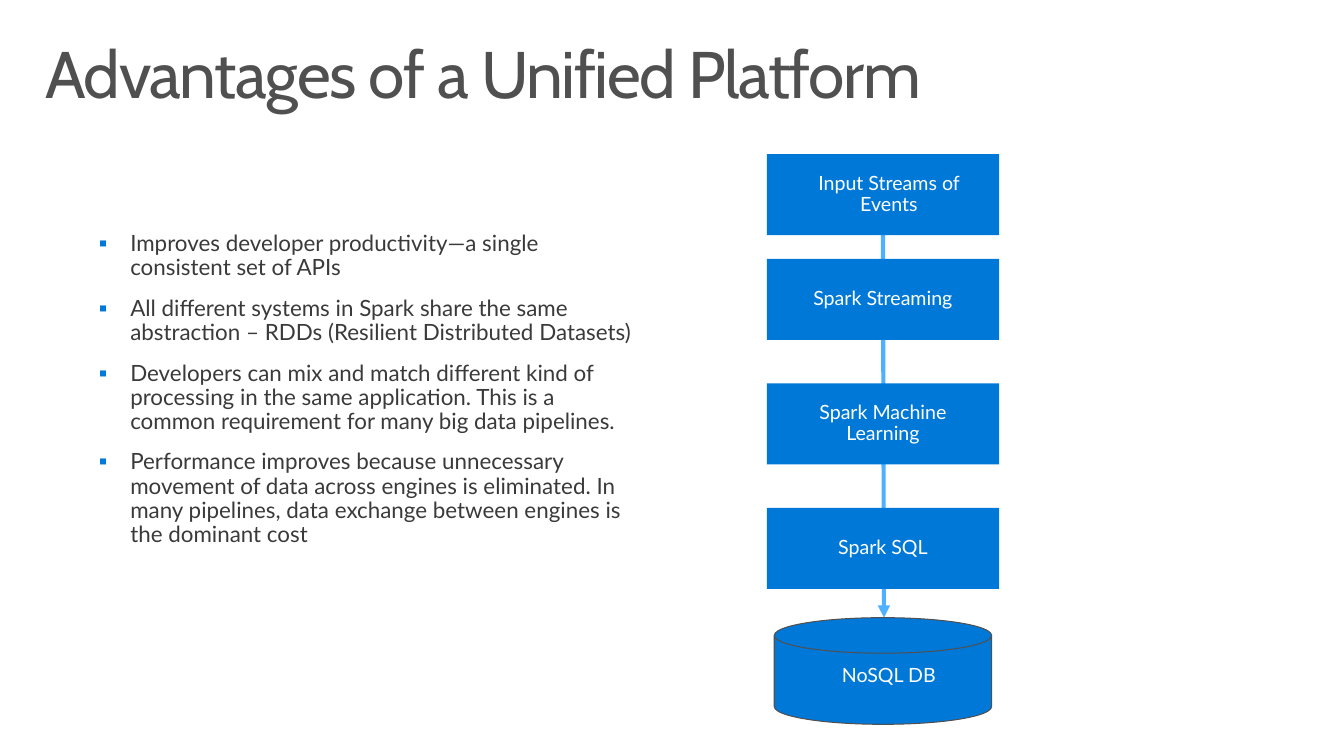
from lxml import etree
from pptx import Presentation, util as u
from pptx.dml.color import RGBColor
from pptx.enum import shapes, text
from pptx.oxml.ns import qn

# Content
TITLE = "Advantages of a Unified Platform"
POINTS = [
    "Improves developer productivity—a single consistent set of APIs",
    "All different systems in Spark share the same abstraction – RDDs "
    "(Resilient Distributed Datasets)",
    "Developers can mix and match different kind of processing in the same "
    "application. This is a common requirement for many big data pipelines.",
    "Performance improves because unnecessary movement of data across engines "
    "is eliminated. In many pipelines, data exchange between engines is the "
    "dominant cost",
]
SOURCE = "Input Streams of Events"
STAGES = ["Spark Streaming", "Spark Machine Learning", "Spark SQL"]
STORE = "NoSQL DB"

# Grid, in inches
WIDE, HIGH = 13.6, 7.65
LEFT, BOX_W, BOX_H = 7.76, 2.35, 0.82
TOP, FIRST, STEP = 1.56, 2.62, 1.26
MID = LEFT + BOX_W / 2
DISK_W, DISK_H, DISK_TOP = 2.2, 1.08, 6.25

BLUE, SKY, GREY, INK, WHITE = "0078D7", "4EB0FF", "505050", "3A3A3A", "FFFFFF"


def color(code):
    return RGBColor.from_string(code)


def add(parent, tag, **attrs):
    return etree.SubElement(parent, qn(tag), attrs)


def write(shape, lines, face, size, code, pad=(0.1, 0.05), mid=False,
          indent=0, mark=None):
    frame = shape.text_frame
    frame.word_wrap = True
    frame.margin_left = frame.margin_right = u.Inches(pad[0])
    frame.margin_top = frame.margin_bottom = u.Inches(pad[1])
    frame.text = "\n".join(lines)
    for i, par in enumerate(frame.paragraphs):
        par.line_spacing = 0.9
        par.alignment = text.PP_ALIGN.CENTER if mid else text.PP_ALIGN.LEFT
        if i:
            par.space_before = u.Pt(12)
        props = par._p.get_or_add_pPr()
        props.set("marL", str(u.Inches(indent)))
        if mark:
            props.set("indent", str(-u.Inches(indent)))
            add(add(props, "a:buClr"), "a:srgbClr", val=BLUE)
            add(props, "a:buFont", typeface=face)
            add(props, "a:buChar", char=mark)
        font = par.runs[0].font
        font.name, font.size = face, u.Pt(size)
        font.color.rgb = color(code)


def label(x, y, w, h):
    return slide.shapes.add_textbox(*map(u.Inches, (x, y, w, h)))


def block(kind, x, y, w, h, edge=None):
    shape = slide.shapes.add_shape(kind, *map(u.Inches, (x, y, w, h)))
    shape.shadow.inherit = False
    shape.fill.solid()
    shape.fill.fore_color.rgb = color(BLUE)
    if edge:
        shape.line.color.rgb = color(edge)
        shape.line.width = u.Pt(0.75)
    else:
        shape.line.fill.background()
    return shape


deck = Presentation()
deck.slide_width, deck.slide_height = u.Inches(WIDE), u.Inches(HIGH)
slide = deck.slides.add_slide(deck.slide_layouts[6])

# Title
head = label(0.3, 0.32, 13, 1)
write(head, [TITLE], "Cabin", 48, GREY, (0.16, 0.1))
head.text_frame.paragraphs[0].runs[0].font._element.set("spc", "-100")

# Flow arrow, behind the boxes
ends = (MID, TOP + BOX_H, MID + 0.01, DISK_TOP)
flow = slide.shapes.add_connector(
    shapes.MSO_CONNECTOR.STRAIGHT, *map(u.Inches, ends))
flow.line.color.rgb = color(SKY)
flow.line.width = u.Pt(3)
add(flow.line._get_or_add_ln(), "a:tailEnd", type="triangle")
add(flow._element.spPr, "a:effectLst")

# Bullet points
write(label(0.9, 2.3, 5.7, 3.34), POINTS, "Lato", 16.3, INK,
      indent=0.32, mark="▪")

# Pipeline boxes
rows = [(SOURCE, TOP, (0.1, 0.05), 0.12)]
rows += [(name, FIRST + i * STEP, (0.2, 0.16), 0)
         for i, name in enumerate(STAGES)]
for name, y, pad, indent in rows:
    box = block(shapes.MSO_SHAPE.RECTANGLE, LEFT, y, BOX_W, BOX_H)
    box.text_frame.vertical_anchor = text.MSO_ANCHOR.MIDDLE
    write(box, [name], "Lato", 14.3, WHITE, pad, True, indent)

# Database
block(shapes.MSO_SHAPE.FLOWCHART_MAGNETIC_DISK, MID - DISK_W / 2, DISK_TOP,
      DISK_W, DISK_H, GREY)
write(label(7.85, 6.69, 2.17, 0.32), [STORE], "Lato", 14.3, WHITE,
      mid=True, indent=0.12)

deck.save("out.pptx")
